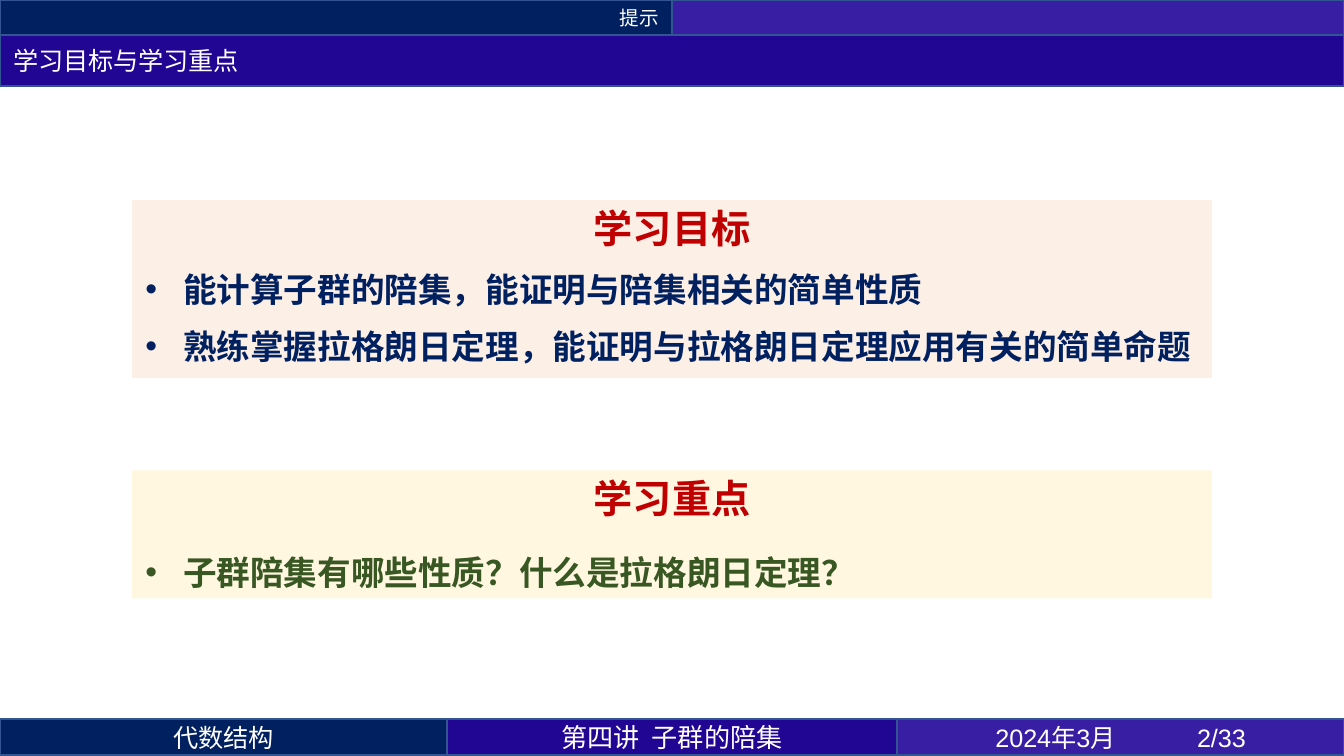
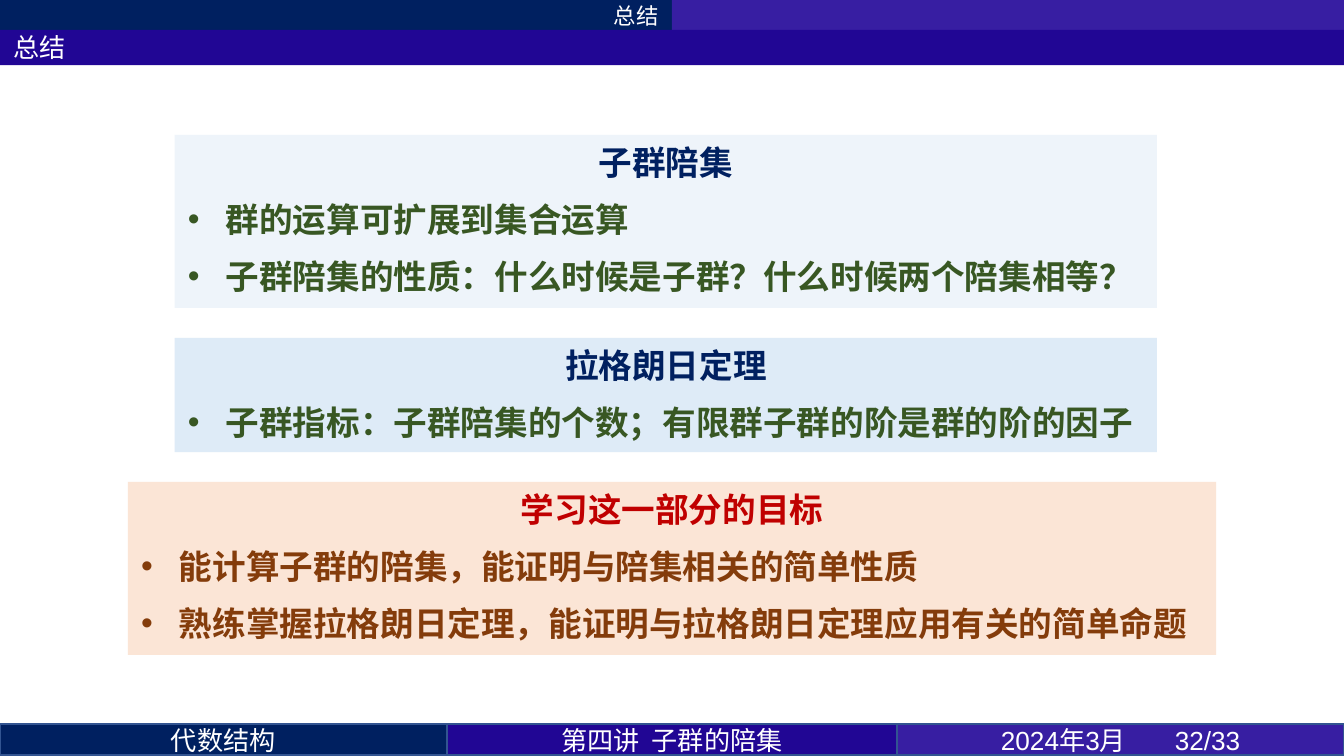
import dataclasses

import lxml.etree
import pptx
import pptx.dml.color
import pptx.enum.shapes
import pptx.enum.text
import pptx.oxml.ns
import pptx.util

Pt = pptx.util.Pt
qn = pptx.oxml.ns.qn
ALIGN = pptx.enum.text.PP_ALIGN


@dataclasses.dataclass(frozen=True)
class Theme:
    navy: str = "002060"
    indigo: str = "210694"
    violet: str = "371EA2"
    outline: str = "325491"
    white: str = "FFFFFF"
    red: str = "C00000"
    green: str = "385723"
    brown: str = "843C0B"
    peach: str = "FBE5D6"
    cream: str = "FFF2CC"
    sky: str = "DEEBF7"
    cjk: str = "Noto Sans CJK SC"
    latin: str = "Arial"
    heading: str = "Calibri"
    body_size: float = 18
    goal_size: float = 21
    lecture_size: float = 14


THEME = Theme()
WIDTH, HEIGHT = 720, 405
FOOTER_BOTTOM = 404.6
FOOTER_WIDTHS = (239.3, 241.4, 239.3)
BULLET_INDENT = 20.25
LECTURE_TAB = 48.5

COURSE = "代数结构"
LECTURE = "第四讲\t子群的陪集"
DATE = "2024年3月"
GOALS = [
    "能计算子群的陪集，能证明与陪集相关的简单性质",
    "熟练掌握拉格朗日定理，能证明与拉格朗日定理应用有关的简单命题",
]

SLIDES = [
    dict(
        section="提示", title="学习目标与学习重点", page="2/33",
        section_size=10.5, title_size=13.5, footer_size=13.5,
        section_height=19, title_top=19, title_height=27.2, footer_height=19.2,
        header_line=THEME.outline, page_tab=108,
        panels_top=107.3, panels_gap=49.5,
        heading_font=THEME.cjk, heading_size=THEME.goal_size, body_font=THEME.latin,
        panels=[
            dict(heading="学习目标", points=GOALS, left=70.8, width=578.4, height=95.2,
                 fill=THEME.peach, opacity=60, heading_color=THEME.red,
                 color=THEME.navy, heading_leading=24),
            dict(heading="学习重点", points=["子群陪集有哪些性质？什么是拉格朗日定理？"],
                 left=70.8, width=578.4, height=68.6,
                 fill=THEME.cream, opacity=60, heading_color=THEME.red,
                 color=THEME.green, heading_leading=24, leading=24, before=9),
        ],
    ),
    dict(
        section="总结", title="总结", page="32/33",
        section_size=12, title_size=14, footer_size=14,
        section_height=16.5, title_top=16, title_height=19, footer_height=16.6,
        header_line=None, page_tab=93.2,
        panels_top=72.3, panels_gap=16,
        heading_font=THEME.heading, heading_size=THEME.body_size, body_font=THEME.cjk,
        panels=[
            dict(heading="子群陪集",
                 points=["群的运算可扩展到集合运算",
                         "子群陪集的性质：什么时候是子群？什么时候两个陪集相等？"],
                 left=93.6, width=526.2, height=92.7,
                 fill=THEME.sky, opacity=50, heading_color=THEME.navy, color=THEME.green),
            dict(heading="拉格朗日定理",
                 points=["子群指标：子群陪集的个数；有限群子群的阶是群的阶的因子"],
                 left=93.6, width=526.2, height=61.2,
                 fill=THEME.sky, heading_color=THEME.navy, color=THEME.green),
            dict(heading="学习这一部分的目标", points=GOALS,
                 left=68.5, width=583, height=92.7,
                 fill=THEME.peach, heading_color=THEME.red, color=THEME.brown),
        ],
    ),
]


def rgb(value):
    return pptx.dml.color.RGBColor.from_string(value)


def add_rectangle(slide, left, top, width, height, fill, line=None, opacity=100):
    rectangle = slide.shapes.add_shape(
        pptx.enum.shapes.MSO_SHAPE.RECTANGLE, Pt(left), Pt(top), Pt(width), Pt(height))
    rectangle.shadow.inherit = False
    rectangle.fill.solid()
    rectangle.fill.fore_color.rgb = rgb(fill)
    if opacity < 100:
        color = rectangle.fill._xPr.find(qn("a:solidFill"))[0]
        lxml.etree.SubElement(color, qn("a:alpha")).set("val", str(opacity * 1000))
    if line:
        rectangle.line.color.rgb = rgb(line)
        rectangle.line.width = Pt(1)
    else:
        rectangle.line.fill.background()
    rectangle.text_frame.word_wrap = True
    return rectangle


def style_runs(paragraph, font, size, color, bold=False):
    for run in paragraph.runs:
        run.font.name = font
        run.font.size = Pt(size)
        run.font.bold = bold
        run.font.color.rgb = rgb(color)
        east_asian = lxml.etree.SubElement(run._r.get_or_add_rPr(), qn("a:ea"))
        east_asian.set("typeface", THEME.cjk)


def add_band(slide, box, fill, line, text="", size=12, font=THEME.cjk,
             align=ALIGN.CENTER, tab=None):
    """Draw a one-line bar; tab is the stop that parts the two halves of its text."""
    frame = add_rectangle(slide, *box, fill, line).text_frame
    frame.vertical_anchor = pptx.enum.text.MSO_ANCHOR.MIDDLE
    frame.text = text
    paragraph = frame.paragraphs[0]
    paragraph.alignment = align
    if tab:
        stops = lxml.etree.SubElement(paragraph._p.get_or_add_pPr(), qn("a:tabLst"))
        stop = lxml.etree.SubElement(stops, qn("a:tab"))
        stop.set("pos", str(Pt(tab)))
        stop.set("algn", "l")
    style_runs(paragraph, font, size, THEME.white)


def add_header(slide, content):
    half, height = WIDTH / 2, content["section_height"]
    line = content["header_line"]
    add_band(slide, (0, 0, half, height), THEME.navy, line,
             content["section"], content["section_size"], align=ALIGN.RIGHT)
    add_band(slide, (half, 0, half, height), THEME.violet, line)
    add_band(slide, (0, content["title_top"], WIDTH, content["title_height"]),
             THEME.indigo, line, content["title"], content["title_size"],
             THEME.heading, ALIGN.LEFT)


def add_footer(slide, content):
    height, size = content["footer_height"], content["footer_size"]
    cells = [
        (COURSE, THEME.navy, size, THEME.cjk, None),
        (LECTURE, THEME.indigo, THEME.lecture_size, THEME.cjk, LECTURE_TAB),
        (f"{DATE}\t{content['page']}", THEME.violet, size, THEME.latin, content["page_tab"]),
    ]
    left = 0
    for width, (text, fill, text_size, font, tab) in zip(FOOTER_WIDTHS, cells):
        add_band(slide, (left, FOOTER_BOTTOM - height, width, height), fill,
                 THEME.outline, text, text_size, font, tab=tab)
        left += width


def add_bullet(paragraph):
    properties = paragraph._p.get_or_add_pPr()
    properties.set("marL", str(Pt(BULLET_INDENT)))
    properties.set("indent", str(-Pt(BULLET_INDENT)))
    lxml.etree.SubElement(properties, qn("a:buFont")).set("typeface", THEME.latin)
    lxml.etree.SubElement(properties, qn("a:buChar")).set("char", "•")


def add_panel(slide, top, panel, content):
    frame = add_rectangle(slide, panel["left"], top, panel["width"], panel["height"],
                          panel["fill"], opacity=panel.get("opacity", 100)).text_frame
    frame.vertical_anchor = pptx.enum.text.MSO_ANCHOR.TOP
    frame.auto_size = pptx.enum.text.MSO_AUTO_SIZE.SHAPE_TO_FIT_TEXT
    frame.text = "\n".join([panel["heading"], *panel["points"]])
    heading, *points = frame.paragraphs
    heading.alignment = ALIGN.CENTER
    heading.space_after = Pt(4.5)
    if "heading_leading" in panel:
        heading.line_spacing = Pt(panel["heading_leading"])
    style_runs(heading, content["heading_font"], content["heading_size"],
               panel["heading_color"], True)
    for point in points:
        point.alignment = ALIGN.LEFT
        add_bullet(point)
        point.space_before = Pt(panel.get("before", 4.5))
        point.space_after = Pt(4.5)
        if "leading" in panel:
            point.line_spacing = Pt(panel["leading"])
        style_runs(point, content["body_font"], THEME.body_size, panel["color"], True)


def main():
    deck = pptx.Presentation()
    deck.slide_width, deck.slide_height = Pt(WIDTH), Pt(HEIGHT)
    for content in SLIDES:
        slide = deck.slides.add_slide(deck.slide_layouts[6])
        add_header(slide, content)
        add_footer(slide, content)
        top = content["panels_top"]
        for panel in content["panels"]:
            add_panel(slide, top, panel, content)
            top += panel["height"] + content["panels_gap"]
    deck.save("out.pptx")


if __name__ == "__main__":
    main()
